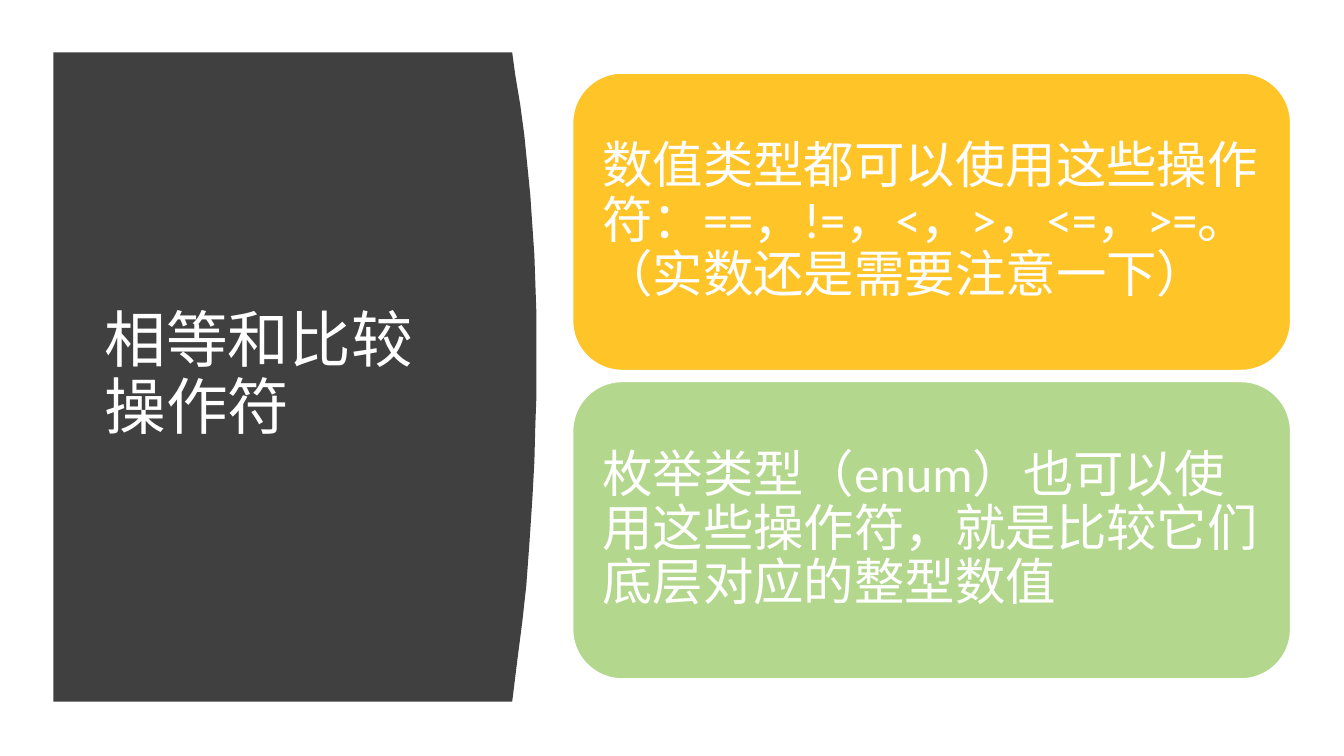
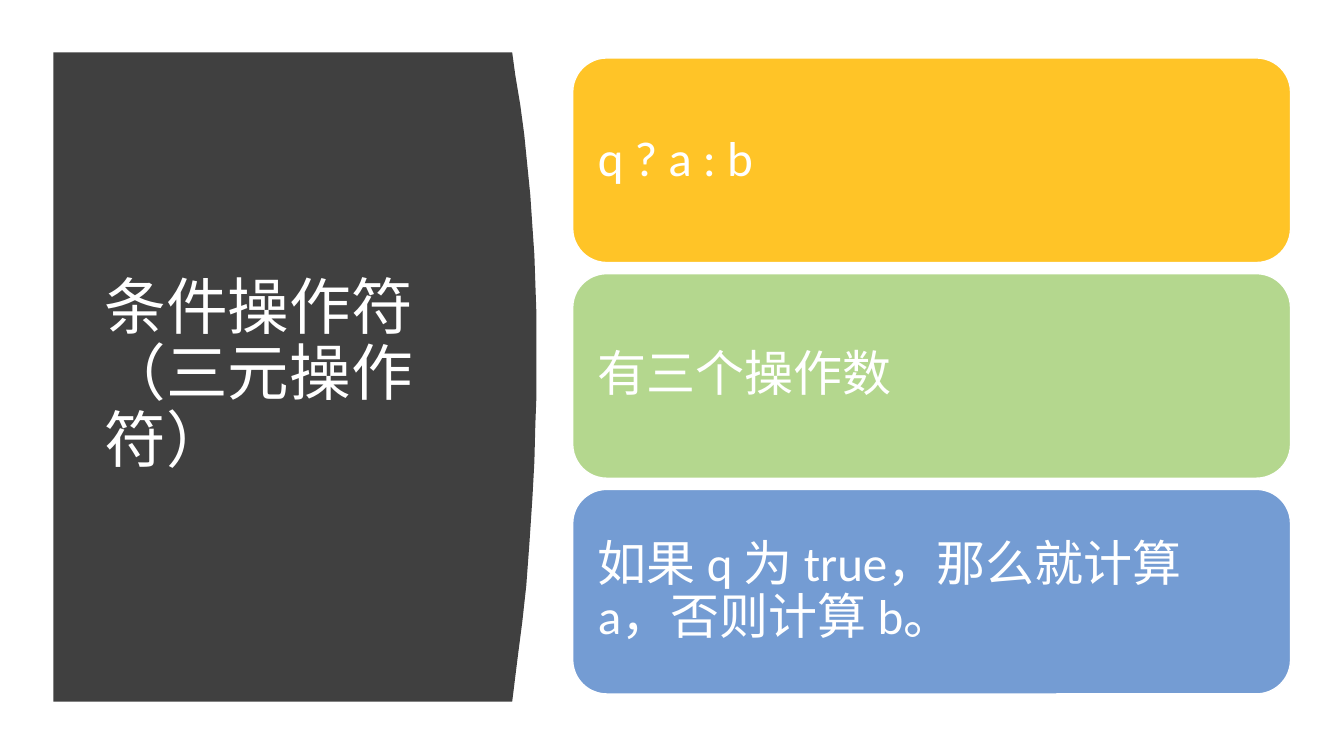
import pptx
import pptx.dml.color
import pptx.enum.shapes
import pptx.enum.text
import pptx.util

Inches = pptx.util.Inches

COLOURS = {
    "panel": "404040",
    "text": "FFFFFF",
    "amber": "FFC427",
    "green": "B4D78E",
    "blue": "749CD3",
}
CARD_COLOURS = ("amber", "green", "blue")
TITLE_FONT = "TeX Gyre Adventor"
BODY_FONT = "Calibri"

PANEL_LEFT = 0.53
PANEL_CURVE = [
    (5.08, 0.52), (5.11, 0.74), (5.16, 1.04), (5.2, 1.34), (5.23, 1.64),
    (5.26, 1.94), (5.28, 2.24), (5.3, 2.53), (5.31, 2.82), (5.32, 3.11),
    (5.32, 3.94), (5.31, 4.2), (5.3, 4.58), (5.28, 4.95), (5.25, 5.4),
    (5.22, 5.81), (5.18, 6.17), (5.14, 6.48), (5.11, 6.72), (5.08, 6.96),
]

CARD_LEFT = 5.68
CARD_WIDTH = 7.12
CARD_GAP = 0.11
CARDS_MIDDLE = 3.73

SLIDES = [
    {
        "title": "相等和比较操作符",
        "card_height": 2.95,
        "size": 36,
        "cards": [
            "数值类型都可以使用这些操作符：==，!=，<，>，<=，>=。（实数还是需要注意一下）",
            "枚举类型（enum）也可以使用这些操作符，就是比较它们底层对应的整型数值",
        ],
    },
    {
        "title": "条件操作符（三元操作符）",
        "card_height": 2.03,
        "size": 35,
        "cards": [
            "q ? a : b",
            "有三个操作数",
            "如果 q 为 true，那么就计算 a，否则计算 b。",
        ],
    },
]


class Deck:
    def __init__(self):
        self.presentation = pptx.Presentation()
        self.presentation.slide_width = Inches(13.33)
        self.presentation.slide_height = Inches(7.5)
        self.slide = None

    def colour(self, name):
        return pptx.dml.color.RGBColor.from_string(COLOURS[name])

    def add_slide(self):
        blank = self.presentation.slide_layouts[6]
        self.slide = self.presentation.slides.add_slide(blank)

    def fill(self, shape, name):
        shape.shadow.inherit = False
        shape.fill.solid()
        shape.fill.fore_color.rgb = self.colour(name)

    def set_text(self, shape, text, font_name, size):
        frame = shape.text_frame
        frame.text = text
        frame.word_wrap = True
        frame.vertical_anchor = pptx.enum.text.MSO_ANCHOR.MIDDLE
        paragraph = frame.paragraphs[0]
        paragraph.alignment = pptx.enum.text.PP_ALIGN.LEFT
        paragraph.line_spacing = 0.9
        for run in paragraph.runs:
            run.font.name = font_name
            run.font.size = pptx.util.Pt(size)
            run.font.color.rgb = self.colour("text")

    def panel(self):
        top, bottom = PANEL_CURVE[0][1], PANEL_CURVE[-1][1]
        builder = self.slide.shapes.build_freeform(
            Inches(PANEL_LEFT), Inches(top))
        outline = PANEL_CURVE + [(PANEL_LEFT, bottom)]
        builder.add_line_segments(
            [(Inches(x), Inches(y)) for x, y in outline], close=True)
        shape = builder.convert_to_shape()
        self.fill(shape, "panel")
        shape.line.fill.background()

    def title(self, text):
        box = self.slide.shapes.add_textbox(
            Inches(0.94), Inches(1.11), Inches(3.74), Inches(5.24))
        self.set_text(box, text, TITLE_FONT, 44)

    def card(self, top, height, text, size, colour_name):
        shape = self.slide.shapes.add_shape(
            pptx.enum.shapes.MSO_SHAPE.ROUNDED_RECTANGLE,
            Inches(CARD_LEFT), Inches(top), Inches(CARD_WIDTH), Inches(height))
        self.fill(shape, colour_name)
        shape.line.color.rgb = self.colour("text")
        shape.line.width = pptx.util.Pt(1)
        frame = shape.text_frame
        frame.margin_left = frame.margin_right = Inches(0.15)
        frame.margin_top = frame.margin_bottom = Inches(0.15)
        self.set_text(shape, text, BODY_FONT, size)

    def cards(self, texts, height, size):
        step = height + CARD_GAP
        first_top = CARDS_MIDDLE - (len(texts) * step - CARD_GAP) / 2
        for index, (text, name) in enumerate(zip(texts, CARD_COLOURS)):
            self.card(first_top + index * step, height, text, size, name)


def main():
    deck = Deck()
    for content in SLIDES:
        deck.add_slide()
        deck.panel()
        deck.title(content["title"])
        deck.cards(content["cards"], content["card_height"], content["size"])
    deck.presentation.save("out.pptx")


if __name__ == "__main__":
    main()
